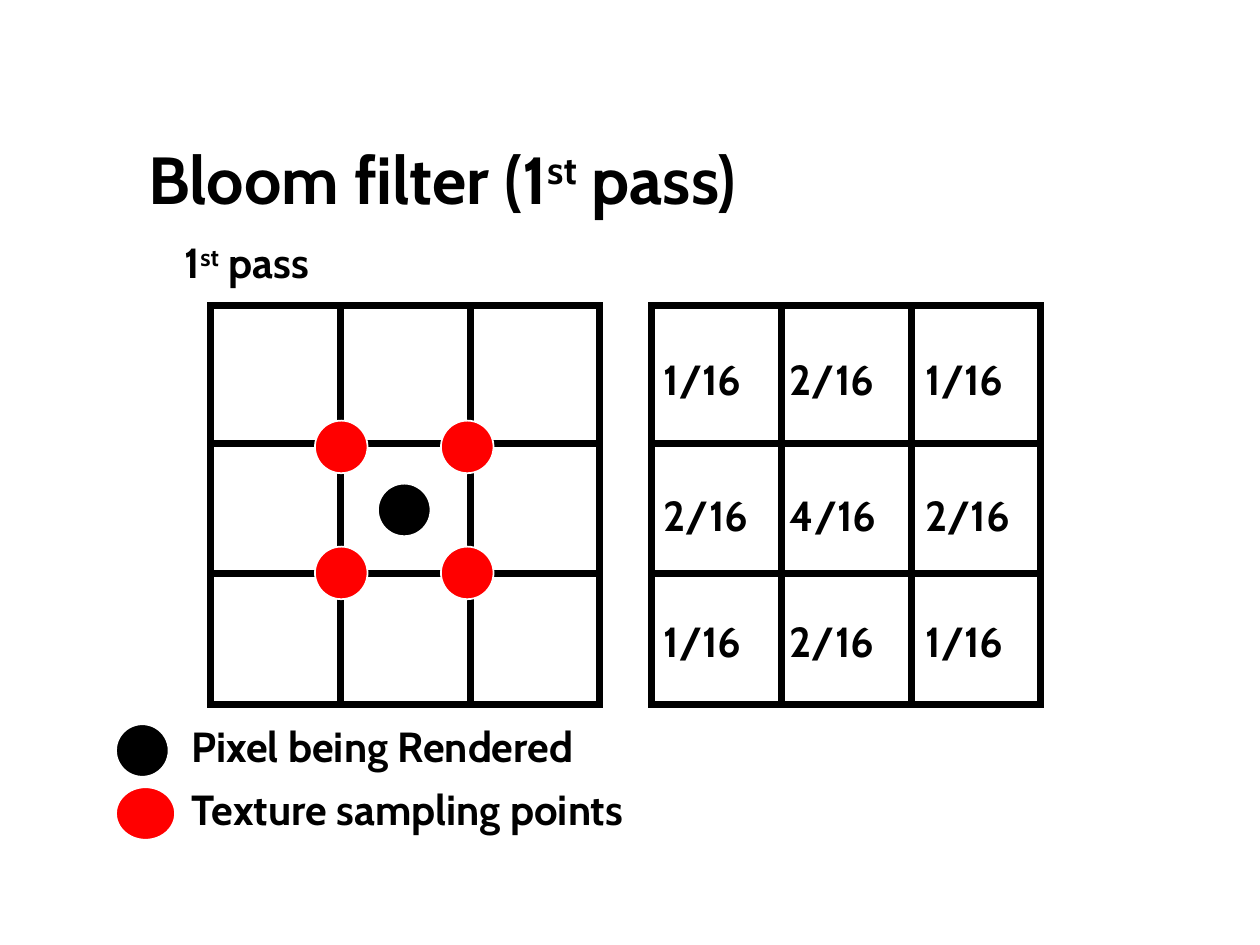
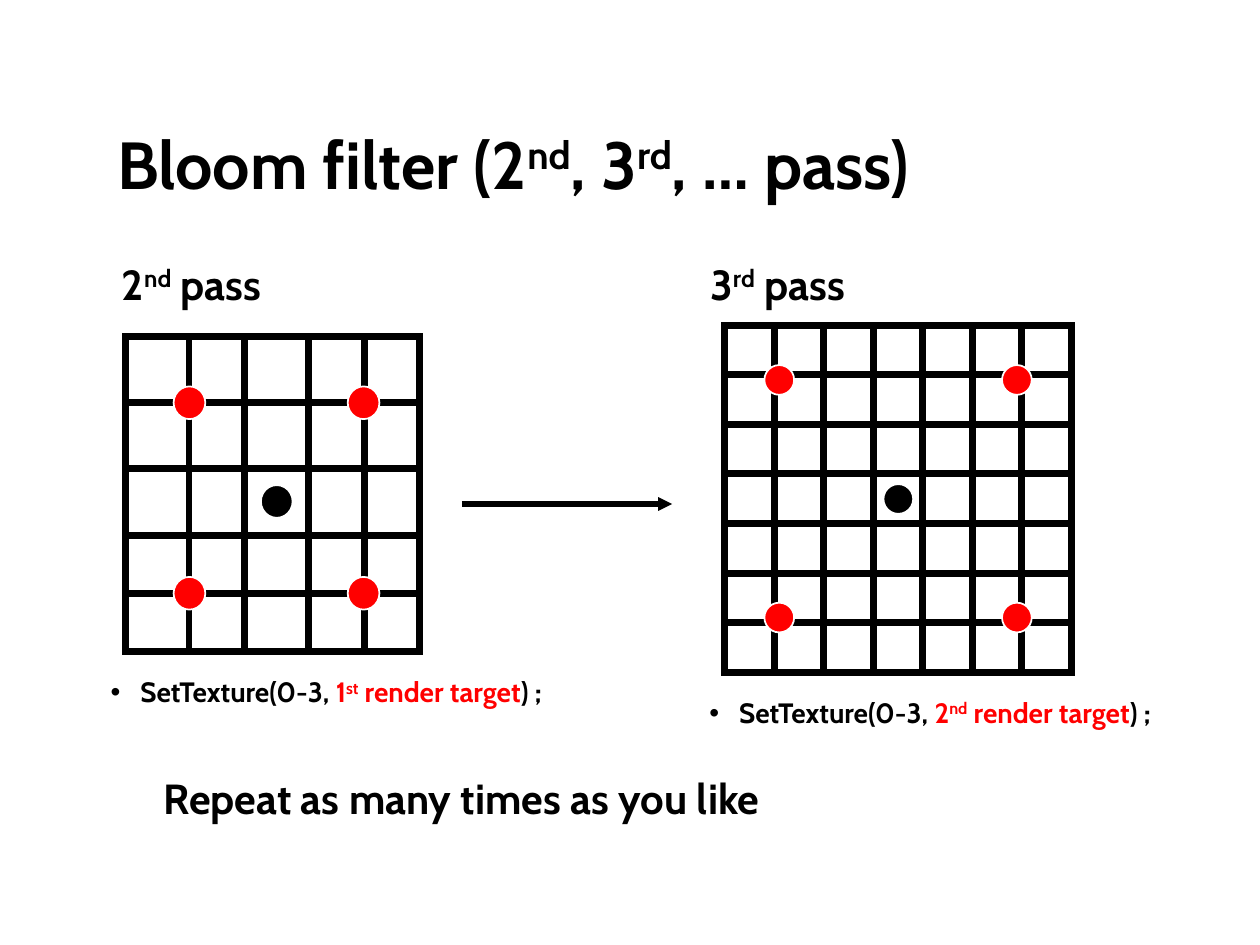
from itertools import product
from typing import NamedTuple

from lxml.etree import SubElement
from pptx import Presentation
from pptx.dml.color import RGBColor
from pptx.enum.shapes import MSO_CONNECTOR, MSO_SHAPE
from pptx.enum.text import MSO_ANCHOR
from pptx.oxml.ns import qn
from pptx.util import Cm, Pt

BLACK = RGBColor(0, 0, 0)
RED = RGBColor(255, 0, 0)
WHITE = RGBColor(255, 255, 255)
FONT = "Cabin"
TITLE_SIZE, BODY_SIZE, CODE_SIZE = 38, 24, 16
GRID_WEIGHT = Pt(4)
LINE_HEIGHT = 1.27


class Box(NamedTuple):
    left: float
    top: float
    width: float
    height: float


class Span(NamedTuple):
    text: str
    color: RGBColor = BLACK
    raised: bool = False


def ordinal(number, suffix, color=BLACK):
    return [Span(number, color), Span(suffix, color, True)]


def add_text(page, box, spans, size=BODY_SIZE, anchor=MSO_ANCHOR.TOP):
    frame = page.shapes.add_textbox(*map(Cm, box)).text_frame
    frame.word_wrap = True
    frame.vertical_anchor = anchor
    para = frame.paragraphs[0]
    for text, color, raised in spans:
        span = para.add_run()
        span.text = text
        span.font.name = FONT
        span.font.size = Pt(size)
        span.font.bold = True
        span.font.color.rgb = color
        if raised:
            span._r.get_or_add_rPr().set("baseline", "30000")
    return para


def add_title(page, box, spans):
    add_text(page, box, spans, TITLE_SIZE, MSO_ANCHOR.MIDDLE)


def add_code_bullet(page, box, target):
    spans = [Span("SetTexture(0-3, "), *target, Span(" render target", RED), Span(") ;")]
    para = add_text(page, box, spans, CODE_SIZE)
    para.line_spacing = 0.9
    properties = para._p.get_or_add_pPr()
    properties.set("marL", str(Cm(0.6)))
    properties.set("indent", str(Cm(-0.6)))
    SubElement(properties, qn("a:buFont")).set("typeface", "Arial")
    SubElement(properties, qn("a:buChar")).set("char", "•")


def add_line(page, start_x, start_y, end_x, end_y):
    line = page.shapes.add_connector(
        MSO_CONNECTOR.STRAIGHT, *map(Cm, (start_x, start_y, end_x, end_y)))
    line.line.color.rgb = BLACK
    line.line.width = GRID_WEIGHT
    SubElement(line._element.spPr, qn("a:effectLst"))
    return line


def add_arrow(page, start_x, end_x, y):
    arrow = add_line(page, start_x, y, end_x, y)
    head = SubElement(arrow.line._get_or_add_ln(), qn("a:tailEnd"))
    for key, value in (("type", "triangle"), ("w", "sm"), ("len", "sm")):
        head.set(key, value)


def add_dot(page, box, color):
    dot = page.shapes.add_shape(MSO_SHAPE.OVAL, *map(Cm, box))
    dot.shadow.inherit = False
    dot.fill.solid()
    dot.fill.fore_color.rgb = color
    dot.line.color.rgb = WHITE
    dot.line.width = Pt(1)


def add_grid(page, box, columns, rows):
    frame = page.shapes.add_shape(MSO_SHAPE.RECTANGLE, *map(Cm, box))
    frame.shadow.inherit = False
    frame.fill.background()
    frame.line.color.rgb = BLACK
    frame.line.width = GRID_WEIGHT
    SubElement(frame.line._get_or_add_ln(), qn("a:miter")).set("lim", "800000")
    for row in rows:
        add_line(page, box.left, box.top + row, box.left + box.width, box.top + row)
    for column in columns:
        add_line(page, box.left + column, box.top, box.left + column, box.top + box.height)


def add_sampling(page, box, sample_columns, sample_rows, pixel, width, height):
    def place(center_x, center_y, color):
        add_dot(page, Box(box.left + center_x - width / 2,
                          box.top + center_y - height / 2, width, height), color)

    place(*pixel, BLACK)
    for center_x, center_y in product(sample_columns, sample_rows):
        place(center_x, center_y, RED)


def add_weights(page, box):
    columns = zip((0, 2.54, 5.28), (1, 2, 1))
    rows = zip((0.85, 3.59, 6.13), (1, 2, 1))
    for (x, across), (y, down) in product(columns, rows):
        label = Box(box.left + x, box.top + y, 2.96, LINE_HEIGHT)
        add_text(page, label, [Span(f"{across * down}/16")])


def add_legend(page, box):
    entries = ((BLACK, 1.06, "Pixel being Rendered"), (RED, 1.19, "Texture sampling points"))
    for index, (color, dot_width, label) in enumerate(entries):
        top = box.top + index * box.height / len(entries)
        add_dot(page, Box(box.left, top + 0.2, dot_width, 1.06), color)
        add_text(page, Box(box.left + 1.27, top, box.width - 1.27, LINE_HEIGHT), [Span(label)])


def add_caption(page, left, top, number, suffix):
    add_text(page, Box(left, top, 3.73, LINE_HEIGHT),
             [*ordinal(number, suffix), Span(" pass")])


def build_first_pass(page):
    add_title(page, Box(2.74, 2.11, 20.52, 2.97),
              [Span("Bloom filter ("), *ordinal("1", "st"), Span(" pass)")])
    add_caption(page, 3.48, 4.65, "1", "st")
    sampling = Box(4.24, 6.15, 7.85, 8.05)
    weights = sampling._replace(left=13.13)
    for box in (sampling, weights):
        add_grid(page, box, columns=(2.62, 5.24), rows=(2.79, 5.41))
    add_sampling(page, sampling, (2.64, 5.18), (2.86, 5.4), (3.91, 4.13), 1.06, 1.06)
    add_weights(page, weights)
    add_legend(page, Box(2.34, 14.4, 13.13, 2.54))


def build_later_passes(page):
    add_title(page, Box(2.11, 2.11, 21.17, 2.33),
              [Span("Bloom filter ("), *ordinal("2", "nd"), Span(", "),
               *ordinal("3", "rd"), Span(", … pass)")])

    add_caption(page, 2.21, 5.08, "2", "nd")
    second = Box(2.54, 6.78, 5.92, 6.35)
    add_grid(page, second, columns=(1.27, 2.39, 3.68, 4.8), rows=(1.34, 2.67, 4.01, 5.18))
    add_sampling(page, second, (1.28, 4.79), (1.34, 5.18), (3.04, 3.33), 0.64, 0.66)
    add_code_bullet(page, Box(1.98, 13.55, 10.19, 0.86), ordinal("1", "st", RED))

    add_caption(page, 14.07, 5.08, "3", "rd")
    third = Box(14.61, 6.56, 6.99, 6.99)
    sevenths = [index * third.width / 7 for index in range(1, 7)]
    add_grid(page, third, sevenths, sevenths)
    add_sampling(page, third, (1.1, 5.89), (1.1, 5.89), (3.5, 3.5), 0.6, 0.6)
    add_code_bullet(page, Box(14.05, 13.97, 10.31, 0.86), ordinal("2", "nd", RED))

    add_arrow(page, 9.31, 13.55, 10.16)
    add_text(page, Box(3.05, 15.45, 14.53, LINE_HEIGHT),
             [Span("Repeat as many times as you like")])


def main():
    deck = Presentation()
    deck.slide_width, deck.slide_height = Cm(25.4), Cm(19.05)
    for build in (build_first_pass, build_later_passes):
        build(deck.slides.add_slide(deck.slide_layouts[6]))
    deck.save("out.pptx")


if __name__ == "__main__":
    main()
